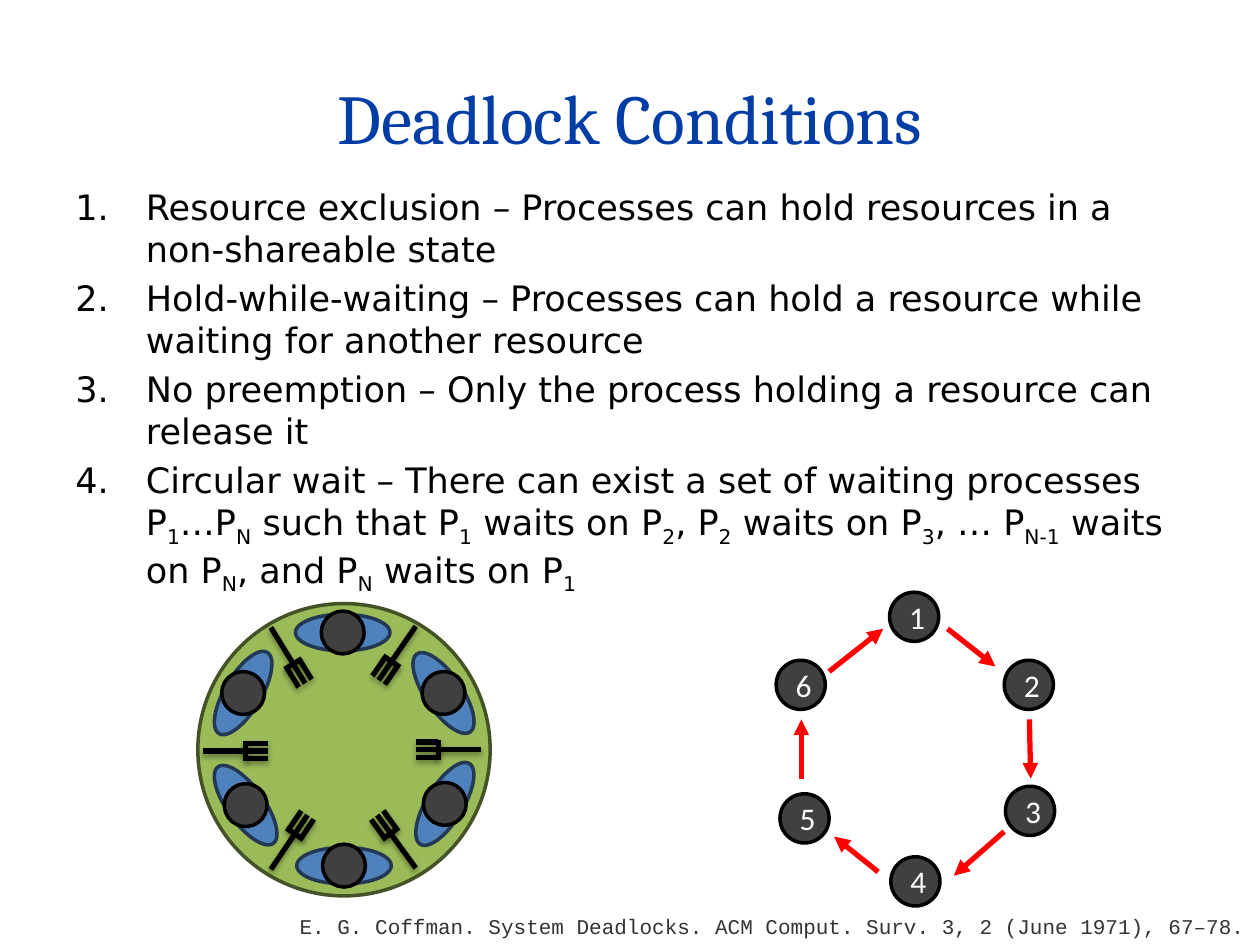
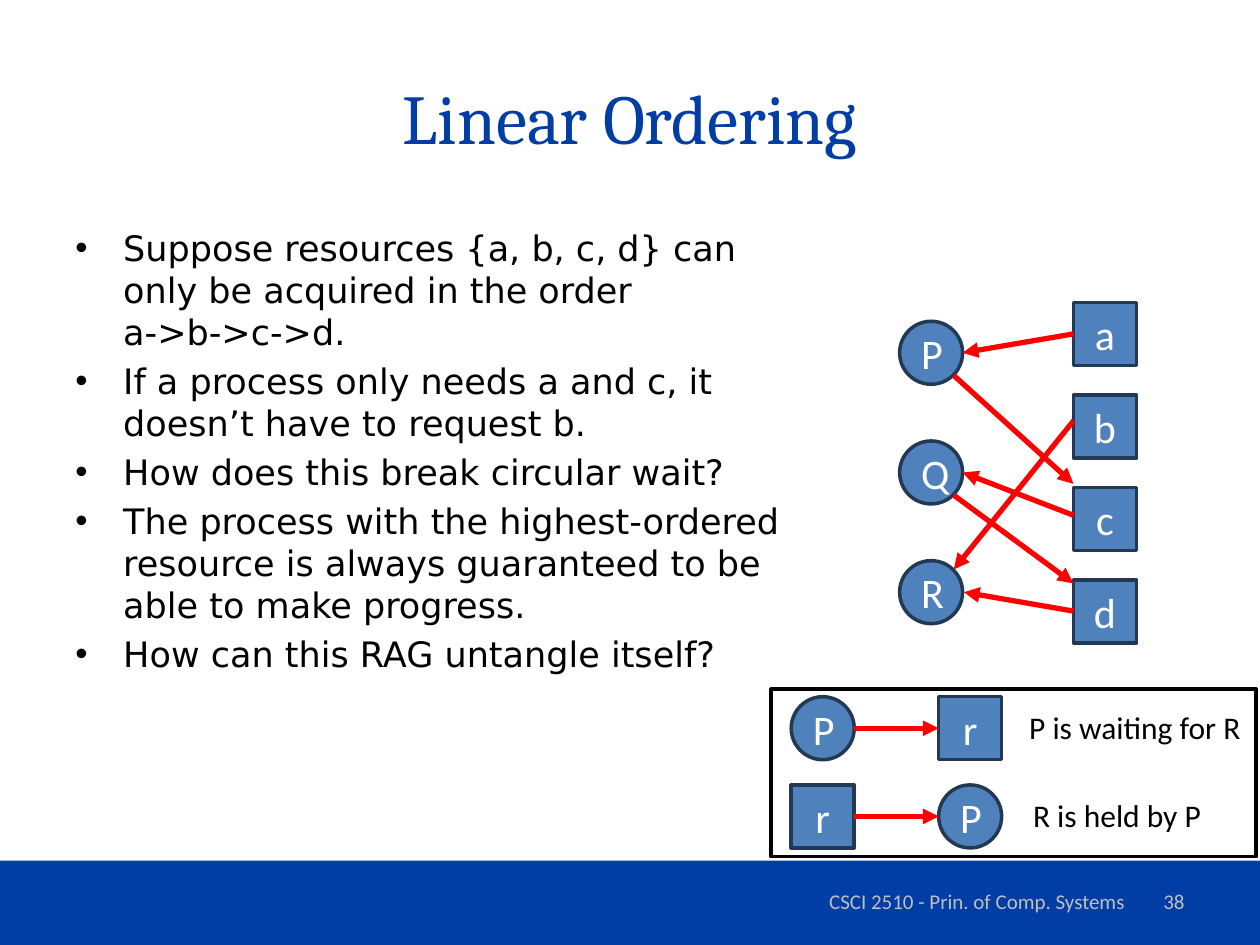
"""Build two slides on deadlock conditions and linear resource ordering."""
from dataclasses import dataclass
from math import cos, radians, sin
from typing import NamedTuple

from lxml.etree import SubElement
from pptx import Presentation
from pptx.dml.color import RGBColor
from pptx.enum.shapes import MSO_CONNECTOR, MSO_SHAPE as Preset
from pptx.enum.text import MSO_ANCHOR as Anchor, MSO_AUTO_SIZE, PP_ALIGN as Align
from pptx.oxml.ns import qn
from pptx.util import Inches, Pt

COLORS = {
    "brand": "003DA5", "text": "000000", "white": "FFFFFF", "footer": "BFBFBF",
    "citation": "333333", "node": "404040", "table": "9BBB59", "table_edge": "445227",
    "blue": "4F81BD", "blue_edge": "233953", "arrow": "FF0000",
}
TITLE_FONT, BODY_FONT, LABEL_FONT, CITE_FONT = "Cambria", "DejaVu Sans", "Calibri", "Courier New"
NODE_SIZE, HEAD_SIZE, RAG_SIZE = 0.39, 0.34, 0.5


class Point(NamedTuple):
    x: float
    y: float


class Box(NamedTuple):
    left: float
    top: float
    width: float
    height: float


class Arrow(NamedTuple):
    start: Point
    end: Point


class Philosopher(NamedTuple):
    center: Point
    rotation: float


class Fork(NamedTuple):
    handle: Point
    angle: float


class RagNode(NamedTuple):
    name: str
    left: float
    top: float
    is_process: bool


@dataclass(frozen=True)
class TextStyle:
    font: str
    size: float
    color: str
    align: Align = Align.LEFT
    anchor: Anchor = Anchor.TOP
    wrap: bool = True


@dataclass(frozen=True)
class ShapeStyle:
    preset: Preset
    fill: str
    edge: str


TITLE = TextStyle(TITLE_FONT, 40, "brand", Align.CENTER, Anchor.MIDDLE)
BODY = TextStyle(BODY_FONT, 20, "text")
CITATION = TextStyle(CITE_FONT, 12, "citation", wrap=False)
FOOTER = TextStyle(LABEL_FONT, 12, "footer", Align.CENTER, Anchor.MIDDLE)
PAGE_NUMBER = TextStyle(LABEL_FONT, 12, "footer", Align.RIGHT, Anchor.MIDDLE)
NODE_LABEL = TextStyle(LABEL_FONT, 18, "white", Align.CENTER, Anchor.MIDDLE)
RAG_LABEL = TextStyle(LABEL_FONT, 24, "white", Align.CENTER, Anchor.MIDDLE)
LEGEND_LABEL = TextStyle(LABEL_FONT, 18, "text", wrap=False)

BAND = ShapeStyle(Preset.RECTANGLE, "brand", "brand")
CYCLE_NODE = ShapeStyle(Preset.OVAL, "node", "text")
DINING_TABLE = ShapeStyle(Preset.OVAL, "table", "table_edge")
PROCESS = ShapeStyle(Preset.OVAL, "blue", "blue_edge")
RESOURCE = ShapeStyle(Preset.RECTANGLE, "blue", "blue_edge")
LEGEND_FRAME = ShapeStyle(Preset.RECTANGLE, "white", "text")

CONDITIONS = [
    "Resource exclusion – Processes can hold resources in a non-shareable state",
    "Hold-while-waiting – Processes can hold a resource while waiting for another resource",
    "No preemption – Only the process holding a resource can release it",
    "Circular wait – There can exist a set of waiting processes P_1_…P_N_ such that "
    "P_1_ waits on P_2_, P_2_ waits on P_3_, … P_N-1_ waits on P_N_, and P_N_ waits on P_1_",
]
ORDERING = [
    "Suppose resources {a, b, c, d} can only be acquired in the order \na->b->c->d.",
    "If a process only needs a and c, it doesn’t have to request b.",
    "How does this break circular wait?",
    "The process with the highest-ordered resource is always guaranteed to be able to make progress.",
    "How can this RAG untangle itself?",
]
CYCLE_NODES = [Point(7.06, 4.7), Point(7.97, 5.24), Point(7.98, 6.24),
               Point(7.07, 6.8), Point(6.19, 6.3), Point(6.16, 5.24)]
CYCLE_ARROWS = [
    Arrow(Point(7.52, 4.99), Point(7.9, 5.29)), Arrow(Point(8.17, 5.71), Point(8.18, 6.18)),
    Arrow(Point(7.97, 6.6), Point(7.57, 6.95)), Arrow(Point(6.97, 6.92), Point(6.62, 6.64)),
    Arrow(Point(6.36, 6.18), Point(6.36, 5.71)), Arrow(Point(6.58, 5.33), Point(7.01, 4.99)),
]
PHILOSOPHERS = [
    Philosopher(Point(2.72, 5.02), 0), Philosopher(Point(3.52, 5.5), 55.8),
    Philosopher(Point(3.53, 6.38), 121.2), Philosopher(Point(2.73, 6.87), 180),
    Philosopher(Point(1.95, 6.39), 234.2), Philosopher(Point(1.93, 5.5), 300.7),
]
FORKS = [
    Fork(Point(3.3, 4.97), 124.5), Fork(Point(3.82, 5.95), 180), Fork(Point(3.3, 6.89), 234),
    Fork(Point(2.15, 6.9), 304), Fork(Point(1.61, 5.96), 0), Fork(Point(2.15, 4.98), 58.5),
]
RAG_NODES = [
    *(RagNode(name, 7.14, 2.55 + 0.95 * row, True) for row, name in enumerate("PQR")),
    *(RagNode(name, 8.52, 2.4 + 0.735 * row, False) for row, name in enumerate("abcd")),
]
LEGEND_NODES = [RagNode("P", 6.28, 5.53, True), RagNode("r", 7.45, 5.53, False),
                RagNode("r", 6.28, 6.23, False), RagNode("P", 7.45, 6.23, True)]
RAG_ARROWS = [
    Arrow(Point(8.52, 2.65), Point(7.64, 2.8)), Arrow(Point(8.52, 4.09), Point(7.64, 3.75)),
    Arrow(Point(8.52, 3.34), Point(7.57, 4.52)), Arrow(Point(8.52, 4.85), Point(7.65, 4.7)),
    Arrow(Point(7.57, 2.98), Point(8.52, 3.84)), Arrow(Point(7.57, 3.93), Point(8.52, 4.63)),
]
LEGEND_ARROWS = [Arrow(Point(6.78, y), Point(7.45, y)) for y in (5.78, 6.48)]


def rgb(name: str) -> RGBColor:
    return RGBColor.from_string(COLORS[name])


def inches(box: Box) -> list:
    return [Inches(length) for length in box]


def centered(center: Point, width: float, height: float) -> Box:
    return Box(center.x - width / 2, center.y - height / 2, width, height)


def style_frame(frame, style: TextStyle) -> None:
    frame.word_wrap = style.wrap
    frame.vertical_anchor = style.anchor
    frame.auto_size = MSO_AUTO_SIZE.NONE


def add_run(paragraph, text: str, style: TextStyle, subscript: bool = False) -> None:
    run = paragraph.add_run()
    run.text = text
    run.font.name, run.font.size = style.font, Pt(style.size)
    run.font.color.rgb = rgb(style.color)
    if subscript:
        run.font._element.set("baseline", "-25000")


def write(frame, text: str, style: TextStyle) -> None:
    style_frame(frame, style)
    paragraph = frame.paragraphs[0]
    paragraph.alignment = style.align
    add_run(paragraph, text, style)


def add_text(slide, box: Box, text: str, style: TextStyle) -> None:
    write(slide.shapes.add_textbox(*inches(box)).text_frame, text, style)


def add_list(slide, box: Box, items: list[str], indent: float, numbered: bool) -> None:
    frame = slide.shapes.add_textbox(*inches(box)).text_frame
    style_frame(frame, BODY)
    for index, item in enumerate(items):
        paragraph = frame.add_paragraph() if index else frame.paragraphs[0]
        properties = paragraph._p.get_or_add_pPr()
        properties.set("marL", str(Inches(indent)))
        properties.set("indent", str(-Inches(indent)))
        if numbered:
            SubElement(properties, qn("a:buFont"), typeface="+mj-lt")
            SubElement(properties, qn("a:buAutoNum"), type="arabicPeriod")
        else:
            SubElement(properties, qn("a:buFont"), typeface="Arial")
            SubElement(properties, qn("a:buChar"), char="•")
        if index:
            paragraph.space_before = Pt(4)
        for line_index, line in enumerate(item.split("\n")):
            if line_index:
                paragraph.add_line_break()
            for part_index, part in enumerate(line.split("_")):
                if part:
                    add_run(paragraph, part, BODY, subscript=part_index % 2 == 1)


def add_figure(slide, box: Box, style: ShapeStyle, rotation: float = 0):
    figure = slide.shapes.add_shape(style.preset, *inches(box))
    figure.shadow.inherit = False
    figure.fill.solid()
    figure.fill.fore_color.rgb = rgb(style.fill)
    figure.line.color.rgb = rgb(style.edge)
    figure.line.width = Pt(2)
    figure.rotation = rotation
    return figure


def add_line(slide, start: Point, end: Point, color: str):
    line = slide.shapes.add_connector(
        MSO_CONNECTOR.STRAIGHT, *(Inches(length) for length in (*start, *end)))
    line.line.color.rgb = rgb(color)
    line.line.width = Pt(3)
    return line, SubElement(line._element.spPr, qn("a:effectLst"))


def add_arrows(slide, arrows: list[Arrow]) -> None:
    for start, end in arrows:
        line, _ = add_line(slide, start, end, "arrow")
        SubElement(line.line._get_or_add_ln(), qn("a:tailEnd"), type="triangle")


def add_fork(slide, fork: Fork) -> None:
    along, across = cos(radians(fork.angle)), sin(radians(fork.angle))

    def at(forward: float, side: float) -> Point:
        return Point(fork.handle.x + forward * along - side * across,
                     fork.handle.y + forward * across + side * along)

    neck, tip = 0.34, 0.52
    strokes = [(at(0, 0), at(neck, 0)), (at(neck, -0.08), at(neck, 0.08))]
    strokes += [(at(neck, side), at(tip, side)) for side in (-0.06, 0, 0.06)]
    for start, end in strokes:
        _, effects = add_line(slide, start, end, "text")
        shadow = SubElement(effects, qn("a:outerShdw"), blurRad=str(Pt(3.1)),
                            dist=str(Pt(1.8)), dir="5400000", rotWithShape="0")
        tint = SubElement(shadow, qn("a:srgbClr"), val=COLORS["text"])
        SubElement(tint, qn("a:alpha"), val="35000")


def add_rag(slide, nodes: list[RagNode], arrows: list[Arrow]) -> None:
    for node in nodes:
        figure = add_figure(slide, Box(node.left, node.top, RAG_SIZE, RAG_SIZE),
                            PROCESS if node.is_process else RESOURCE)
        write(figure.text_frame, node.name, RAG_LABEL)
    add_arrows(slide, arrows)


def add_titled_slide(deck, heading: str):
    slide = deck.slides.add_slide(deck.slide_layouts[5])
    title = slide.shapes.title
    title.left, title.top, title.width, title.height = inches(Box(0.5, 0.3, 9, 1.25))
    write(title.text_frame, heading, TITLE)
    return slide


def add_footer(slide, page: str) -> None:
    band = add_figure(slide, Box(0, 6.83, 10, 0.67), BAND)
    band.line.fill.background()
    add_text(slide, Box(6.17, 6.95, 3.17, 0.4), "CSCI 2510 - Prin. of Comp. Systems", FOOTER)
    add_text(slide, Box(7.17, 6.95, 2.33, 0.4), page, PAGE_NUMBER)


def build_conditions(deck) -> None:
    slide = add_titled_slide(deck, "Deadlock Conditions")
    add_list(slide, Box(0.5, 1.42, 9, 4.95), CONDITIONS, 0.56, numbered=True)
    for number, corner in enumerate(CYCLE_NODES, 1):
        node = add_figure(slide, Box(*corner, NODE_SIZE, NODE_SIZE), CYCLE_NODE)
        write(node.text_frame, str(number), NODE_LABEL)
    add_arrows(slide, CYCLE_ARROWS)
    add_figure(slide, Box(1.57, 4.79, 2.32, 2.32), DINING_TABLE)
    for center, rotation in PHILOSOPHERS:
        add_figure(slide, centered(center, 0.75, 0.29), PROCESS, rotation)
        add_figure(slide, centered(center, HEAD_SIZE, HEAD_SIZE), CYCLE_NODE, rotation)
    for fork in FORKS:
        add_fork(slide, fork)
    add_text(slide, Box(2.28, 7.2, 7.7, 0.3),
             "E. G. Coffman. System Deadlocks. ACM Comput. Surv. 3, 2 (June 1971), 67–78.", CITATION)


def build_ordering(deck) -> None:
    slide = add_titled_slide(deck, "Linear Ordering")
    add_footer(slide, "38")
    add_list(slide, Box(0.5, 1.75, 5.83, 4.95), ORDERING, 0.38, numbered=False)
    add_rag(slide, RAG_NODES, RAG_ARROWS)
    add_figure(slide, Box(6.12, 5.47, 3.85, 1.33), LEGEND_FRAME)
    add_rag(slide, LEGEND_NODES, LEGEND_ARROWS)
    add_text(slide, Box(8.07, 5.57, 1.9, 0.4), "P is waiting for R", LEGEND_LABEL)
    add_text(slide, Box(8.1, 6.27, 1.55, 0.4), "R is held by P", LEGEND_LABEL)


def main() -> None:
    deck = Presentation()
    deck.slide_width, deck.slide_height = Inches(10), Inches(7.5)
    build_conditions(deck)
    build_ordering(deck)
    deck.save("out.pptx")


if __name__ == "__main__":
    main()
